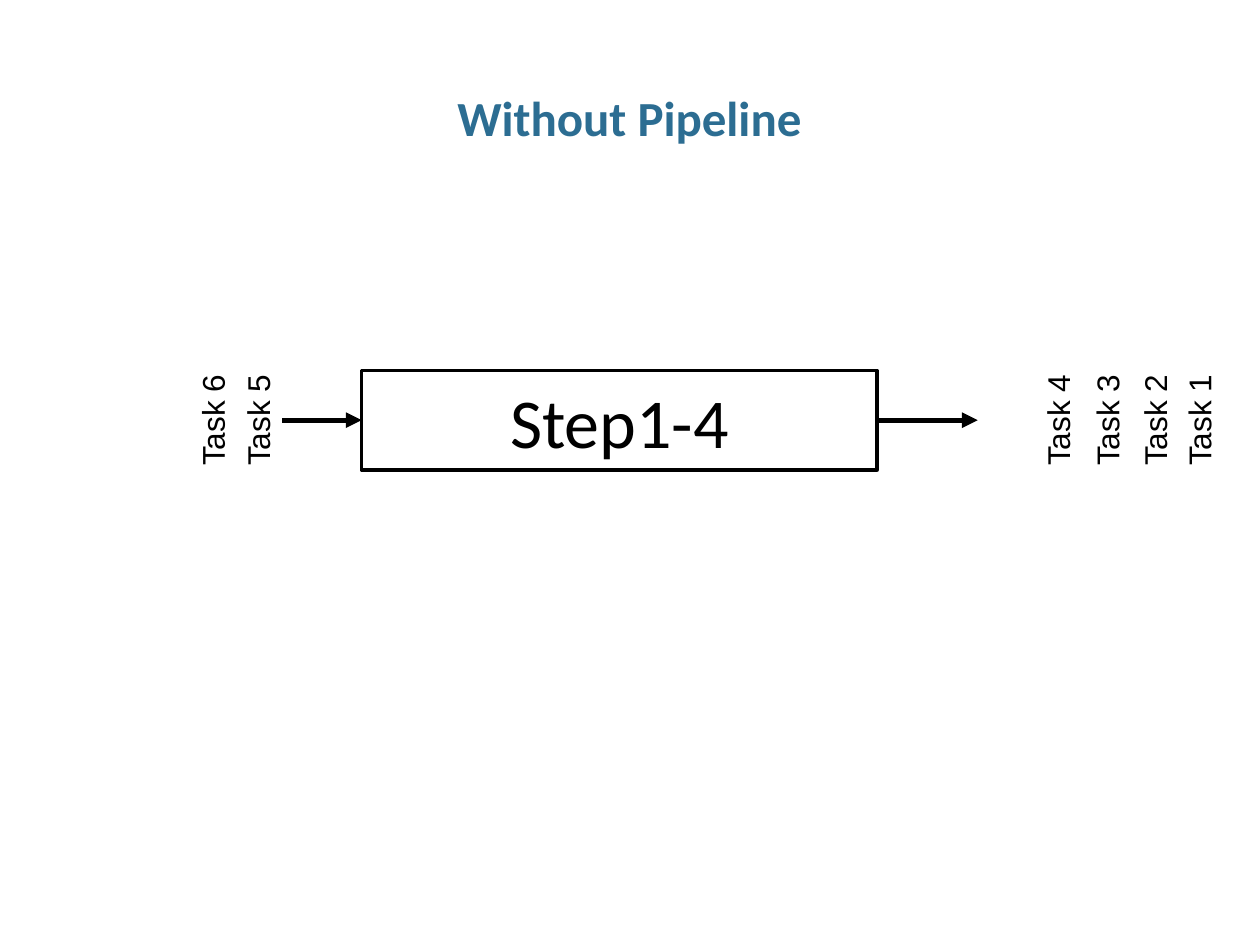
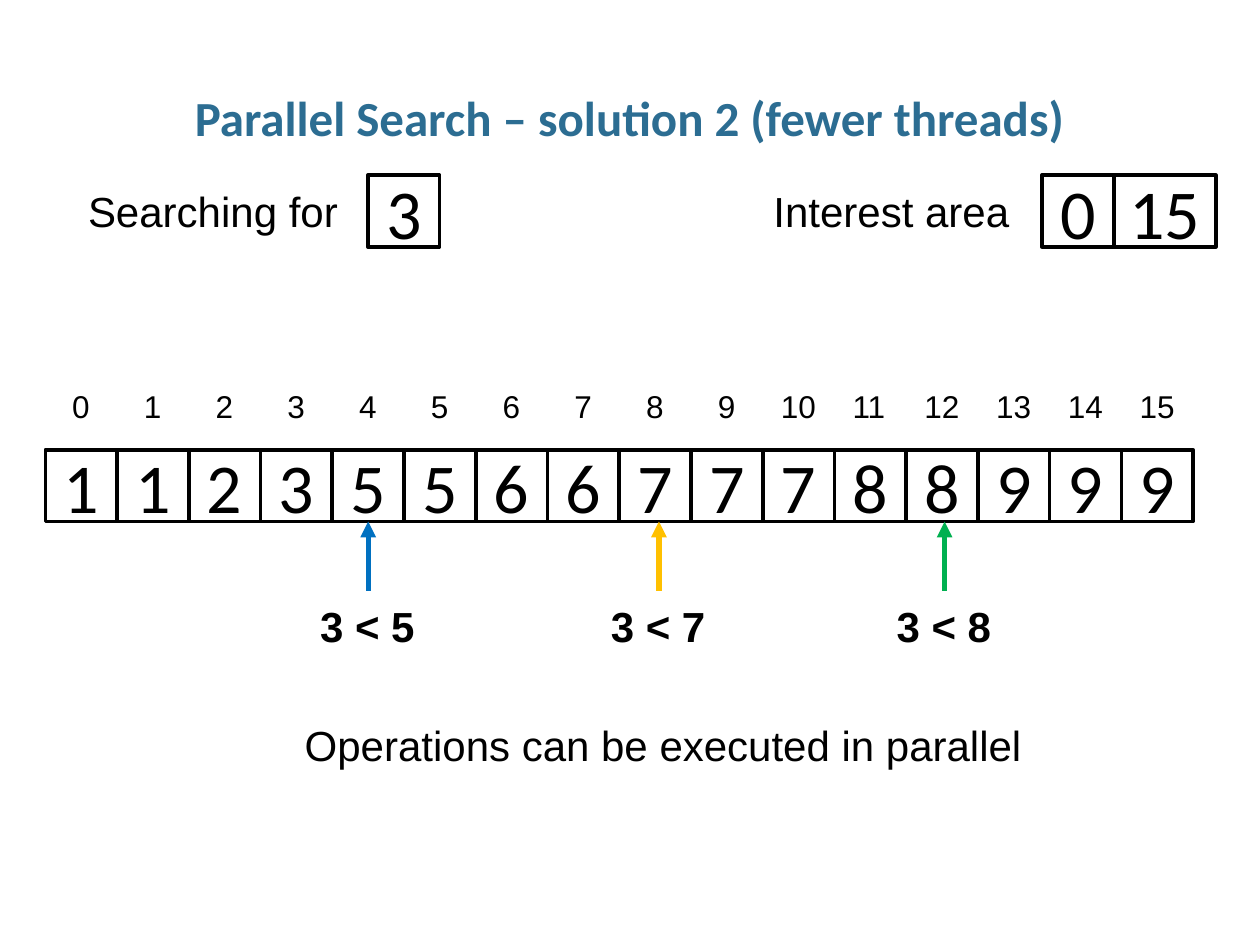
"""Build two slides on pipelines and parallel search."""
import dataclasses
import pptx
import pptx.dml.color
import pptx.enum.shapes
import pptx.enum.text
import pptx.oxml
import pptx.oxml.ns
import pptx.util

Inches = pptx.util.Inches
Pt = pptx.util.Pt
Align = pptx.enum.text.PP_ALIGN

TITLES = ["Without Pipeline", "Parallel Search – solution 2 (fewer threads)"]
STEP = "Step1-4"
TASKS = [("Task 1", 9.05), ("Task 2", 8.7), ("Task 3", 8.32),
         ("Task 4", 7.93), ("Task 5", 1.58), ("Task 6", 1.22)]
VALUES = [1, 1, 2, 3, 5, 5, 6, 6, 7, 7, 7, 8, 8, 9, 9, 9]
TESTS = [("3 < 5", 4, 0, "0070C0"), ("3 < 7", 8, 0.03, "FFC000"),
         ("3 < 8", 12, 0.02, "00B050")]
FIELDS = [("3", 2.92, 0.57), ("0", 8.27, 0.57), ("15", 8.84, 0.81)]
NOTES = [("Searching for", 0.6, 1.42, 2.21), ("Interest area", 6.04, 1.42, 2.09),
         ("Operations can be executed in parallel", 2.32, 5.66, 5.95)]


@dataclasses.dataclass(frozen=True)
class Theme:
    head: str = "2C6D92"
    ink: str = "000000"
    serif: str = "Calibri"
    sans: str = "Arial"
    title: int = 28
    cell: int = 40
    note: int = 24
    label: int = 18
    border: int = 2
    arrow: int = 3


THEME = Theme()
ROW_LEFT, ROW_TOP, ROW_WIDE = 0.36, 3.57, 9.11
SIDE = ROW_WIDE / len(VALUES)
TEST_LOW, TEST_WIDE = 4.69, 0.96


def rgb(code):
    return pptx.dml.color.RGBColor.from_string(code)


def write(frame, text, size, font, color=THEME.ink, bold=False, align=None):
    frame.text = text
    line = frame.paragraphs[0]
    line.alignment = align
    style = line.runs[0].font
    style.size, style.name, style.bold = Pt(size), font, bold
    style.color.rgb = rgb(color)


def start(deck, text):
    slide = deck.slides.add_slide(deck.slide_layouts[5])
    title = slide.shapes.title
    title.left, title.top = Inches(0.34), Inches(0.68)
    title.width, title.height = Inches(9.31), Inches(0.5)
    frame = title.text_frame
    frame.margin_left = frame.margin_right = 0
    frame.auto_size = pptx.enum.text.MSO_AUTO_SIZE.NONE
    frame.vertical_anchor = pptx.enum.text.MSO_ANCHOR.TOP
    write(frame, text, THEME.title, THEME.serif, THEME.head, True, Align.CENTER)
    frame.paragraphs[0].line_spacing = 0.95
    return slide


def box(slide, text, left, top, wide, high):
    shape = slide.shapes.add_shape(
        pptx.enum.shapes.MSO_SHAPE.RECTANGLE,
        Inches(left), Inches(top), Inches(wide), Inches(high))
    shape.shadow.inherit = False
    shape.fill.background()
    shape.line.color.rgb = rgb(THEME.ink)
    shape.line.width = Pt(THEME.border)
    shape.text_frame.vertical_anchor = pptx.enum.text.MSO_ANCHOR.MIDDLE
    write(shape.text_frame, text, THEME.cell, THEME.serif, align=Align.CENTER)
    return shape


def label(slide, text, left, top, wide, size=THEME.label, bold=False, turn=0):
    high = 0.4 if size == THEME.label else 0.5
    shape = slide.shapes.add_textbox(
        Inches(left), Inches(top), Inches(wide), Inches(high))
    shape.rotation = turn
    shape.text_frame.word_wrap = False
    shape.text_frame.auto_size = pptx.enum.text.MSO_AUTO_SIZE.SHAPE_TO_FIT_TEXT
    write(shape.text_frame, text, size, THEME.sans, bold=bold)


def arrow(slide, tail, tip, color=THEME.ink):
    line = slide.shapes.add_connector(
        pptx.enum.shapes.MSO_CONNECTOR.STRAIGHT,
        *(Inches(n) for n in (*tail, *tip)))
    line.line.color.rgb = rgb(color)
    line.line.width = Pt(THEME.arrow)
    space = pptx.oxml.ns.nsdecls("a")
    line.line._get_or_add_ln().append(
        pptx.oxml.parse_xml(f'<a:tailEnd {space} type="triangle"/>'))
    line._element.spPr.append(pptx.oxml.parse_xml(f"<a:effectLst {space}/>"))
    return line


def draw_pipe(deck):
    slide = start(deck, TITLES[0])
    left, top, wide, high = 2.87, 2.94, 4.09, 0.79
    step = box(slide, STEP, left, top, wide, high)
    mid, right = top + high / 2, left + wide
    arrow(slide, (2.24, mid), (left, mid)).end_connect(step, 1)
    arrow(slide, (right, mid), (7.76, mid)).begin_connect(step, 3)
    for text, spot in TASKS:
        label(slide, text, spot, 3.13, 0.93, turn=270)


def draw_search(deck):
    slide = start(deck, TITLES[1])
    mids = [ROW_LEFT + (i + 0.5) * SIDE for i in range(len(VALUES))]
    cells = [box(slide, str(value), mid - SIDE / 2, ROW_TOP, SIDE, SIDE)
             for value, mid in zip(VALUES, mids)]
    for i, mid in enumerate(mids):
        wide = 0.34 if i < 10 else 0.48
        label(slide, str(i), mid - wide / 2, 3.02, wide)
    for text, left, wide in FIELDS:
        box(slide, text, left, 1.39, wide, 0.57)
    for text, i, shift, color in TESTS:
        spot = mids[i] + shift
        line = arrow(slide, (spot, TEST_LOW), (spot, ROW_TOP + SIDE), color)
        if not shift:
            line.end_connect(cells[i], 2)
        label(slide, text, spot - TEST_WIDE / 2, 4.72, TEST_WIDE, THEME.note, True)
    for text, left, top, wide in NOTES:
        label(slide, text, left, top, wide, THEME.note)


def main():
    deck = pptx.Presentation()
    deck.slide_width, deck.slide_height = Inches(10), Inches(7.5)
    draw_pipe(deck)
    draw_search(deck)
    deck.save("out.pptx")


if __name__ == "__main__":
    main()
